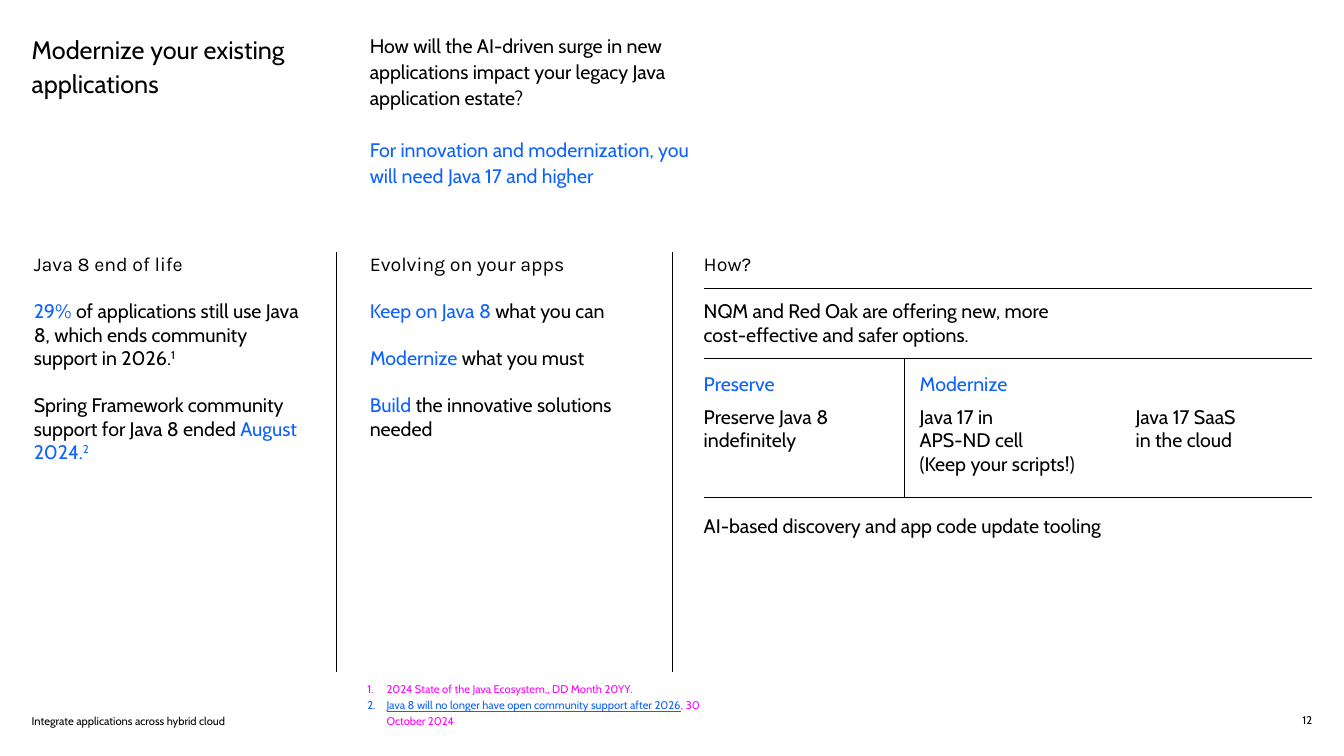
from lxml.etree import SubElement
from pptx import Presentation
from pptx.dml.color import RGBColor
from pptx.enum.text import MSO_ANCHOR as Anchor, MSO_AUTO_SIZE as AutoSize, PP_ALIGN as Align
from pptx.enum.shapes import MSO_CONNECTOR as Connector
from pptx.oxml.ns import qn
from pptx.util import Inches, Pt

WIDTH, HEIGHT = 26.67, 15
BLACK, BLUE, MAGENTA = "000000", "0F62FE", "FF00FF"
MARGIN = 0.63
RIGHT = WIDTH - MARGIN
COLUMN = WIDTH / 4
EVOLVE = COLUMN + 0.67
HOW = 2 * COLUMN + 0.63
OPTION_STEP = 4.285
TOP, BOTTOM = HEIGHT / 3, HEIGHT * 0.889
INTRO_RULE, OPTIONS_RULE, TOOLING_RULE = 5.72, 7.11, 9.86
OPTION_DIVIDER = HOW + 3.98

TITLE = "Modernize your existing applications"
QUESTION = [
    [("How will the AI-driven surge in new applications impact your legacy Java application estate?", BLACK)],
    [("For innovation and modernization, you will need Java 17 and higher", BLUE)],
]
TOPICS = [
    (0.67, 5.42, 4.86, "Java 8 end of life", [
        [("29% ", BLUE), ("of applications still use Java 8, which ends community support in 2026.", BLACK),
         ("1", BLACK, "super")],
        [("Spring Framework community support for Java 8 ended ", BLACK), ("August 2024.", BLUE),
         ("2", BLUE, "super")],
    ]),
    (EVOLVE, 5.37, 3.95, "Evolving on your apps", [
        [("Keep on Java 8 ", BLUE), ("what you can", BLACK)],
        [("Modernize", BLUE), (" what you must", BLACK)],
        [("Build", BLUE), (" the innovative solutions needed", BLACK)],
    ]),
    (HOW, 7.37, 2.04, "How?", [
        [("NQM and Red Oak are offering new, more cost-effective and safer options.", BLACK)],
    ]),
]
OPTIONS = [
    ("Preserve", "Preserve Java 8 indefinitely"),
    ("Modernize", "Java 17 in\nAPS-ND cell\n(Keep your scripts!)"),
    (None, "Java 17 SaaS\nin the cloud"),
]
TOOLING = "AI-based discovery and app code update tooling"
SOURCES = [
    [("2024 State of the Java Ecosystem,, DD Month 20YY.", MAGENTA)],
    [("Java 8 will no longer have open community support after 2026", BLUE, "underline"),
     (", 30 October 2024", MAGENTA)],
]
FOOTER = "Integrate applications across hybrid cloud"
PAGE = "12"
RULES = [
    (COLUMN, TOP, COLUMN, BOTTOM),
    (2 * COLUMN, TOP, 2 * COLUMN, BOTTOM),
    *[(HOW, y, RIGHT, y) for y in (INTRO_RULE, OPTIONS_RULE, TOOLING_RULE)],
    (OPTION_DIVIDER, OPTIONS_RULE, OPTION_DIVIDER, TOOLING_RULE),
]


def paint(target, color):
    target.rgb = RGBColor.from_string(color)


def place(box, left, top, width, height, anchor=Anchor.TOP):
    box.left, box.top, box.width, box.height = map(Inches, (left, top, width, height))
    frame = box.text_frame
    frame.margin_left = frame.margin_top = frame.margin_right = frame.margin_bottom = 0
    frame.vertical_anchor = anchor
    frame.auto_size = AutoSize.NONE
    frame.word_wrap = True
    return frame


def write(paragraph, runs, size=28, font="Cabin", spacing=1, before=0, align=Align.LEFT, numbered=False):
    paragraph.alignment = align
    paragraph.line_spacing = spacing
    paragraph.space_before, paragraph.space_after = Pt(before), Pt(0)
    props = paragraph._p.get_or_add_pPr()
    indent = Inches(0.38) if numbered else 0
    props.set("marL", str(indent))
    props.set("indent", str(-indent))
    if numbered:
        SubElement(props, qn("a:buAutoNum"), type="arabicPeriod")
    else:
        SubElement(props, qn("a:buNone"))
    paragraph.font.name = font
    paragraph.font.size = Pt(size)
    paragraph.font.bold = False
    same_color = len({color for _, color, *_ in runs}) == 1
    if same_color:
        paint(paragraph.font.color if paragraph.font.fill.solid() is None else None, runs[0][1])
    for text, color, *style in runs:
        for index, line in enumerate(text.split("\n")):
            if index:
                paragraph.add_line_break()
            run = paragraph.add_run()
            run.text = line
            if not same_color:
                paint(run.font.color, color)
            if "underline" in style:
                run.font.underline = True
            if "super" in style:
                run._r.get_or_add_rPr().set("baseline", "30000")


def fill(frame, paragraphs, gap=0, **style):
    for index, runs in enumerate(paragraphs):
        paragraph = frame.add_paragraph() if index else frame.paragraphs[0]
        write(paragraph, runs, before=gap if index else 0, **style)


def add_text(slide, area, paragraphs, anchor=Anchor.TOP, **style):
    box = slide.shapes.add_textbox(0, 0, 0, 0)
    fill(place(box, *area, anchor), paragraphs, **style)


def add_rule(slide, ends):
    rule = slide.shapes.add_connector(Connector.STRAIGHT, *map(Inches, ends))
    paint(rule.line.color, BLACK)
    rule.line.width = Pt(1)
    SubElement(rule._element.spPr, qn("a:effectLst"))


def main():
    deck = Presentation()
    deck.slide_width, deck.slide_height = Inches(WIDTH), Inches(HEIGHT)
    slide = deck.slides.add_slide(deck.slide_layouts.get_by_name("Comparison"))
    title, *topic_bodies, question = slide.placeholders

    fill(place(title, MARGIN, MARGIN, 6.45, 1.67), [[(TITLE, BLACK)]], size=36, spacing=1.1)
    fill(place(question, EVOLVE, MARGIN, 6.92, 3.32), QUESTION, gap=37, spacing=1.1)
    for body, (left, width, height, heading, points) in zip(topic_bodies, TOPICS):
        frame = place(body, left, TOP, width, height)
        fill(frame, [[(heading, BLACK)]], font="Karla")
        for point in points:
            write(frame.add_paragraph(), point, before=33.5)

    for index, (heading, detail) in enumerate(OPTIONS):
        left = HOW + index * OPTION_STEP
        if heading:
            add_text(slide, (left, 7.37, 3.51, 0.83), [[(heading, BLUE)]])
        add_text(slide, (left, 8.03, 3.51, 1.5), [[(detail, BLACK)]])
    add_text(slide, (HOW, 10.19, 9.96, 0.83), [[(TOOLING, BLACK)]])

    for ends in RULES:
        add_rule(slide, ends)

    add_text(slide, (7.29, BOTTOM, COLUMN, 1.11), SOURCES, Anchor.BOTTOM,
             size=16, spacing=1.2, numbered=True)
    add_text(slide, (MARGIN, 14.02, 5.42, 0.42), [[(FOOTER, BLACK)]], Anchor.BOTTOM, size=16)
    add_text(slide, (RIGHT - 0.3, 14.16, 0.3, 0.27), [[(PAGE, BLACK)]], Anchor.MIDDLE,
             size=16, align=Align.RIGHT)
    deck.save("out.pptx")


if __name__ == "__main__":
    main()
